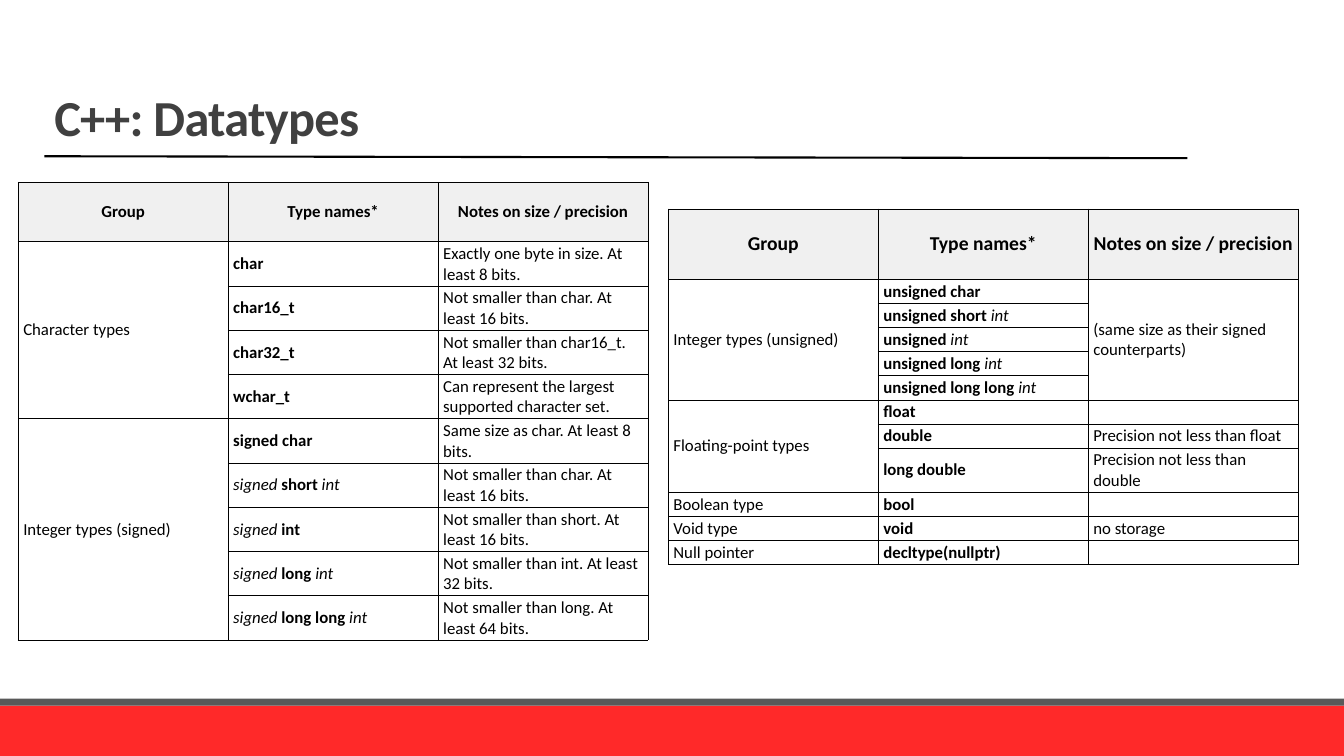
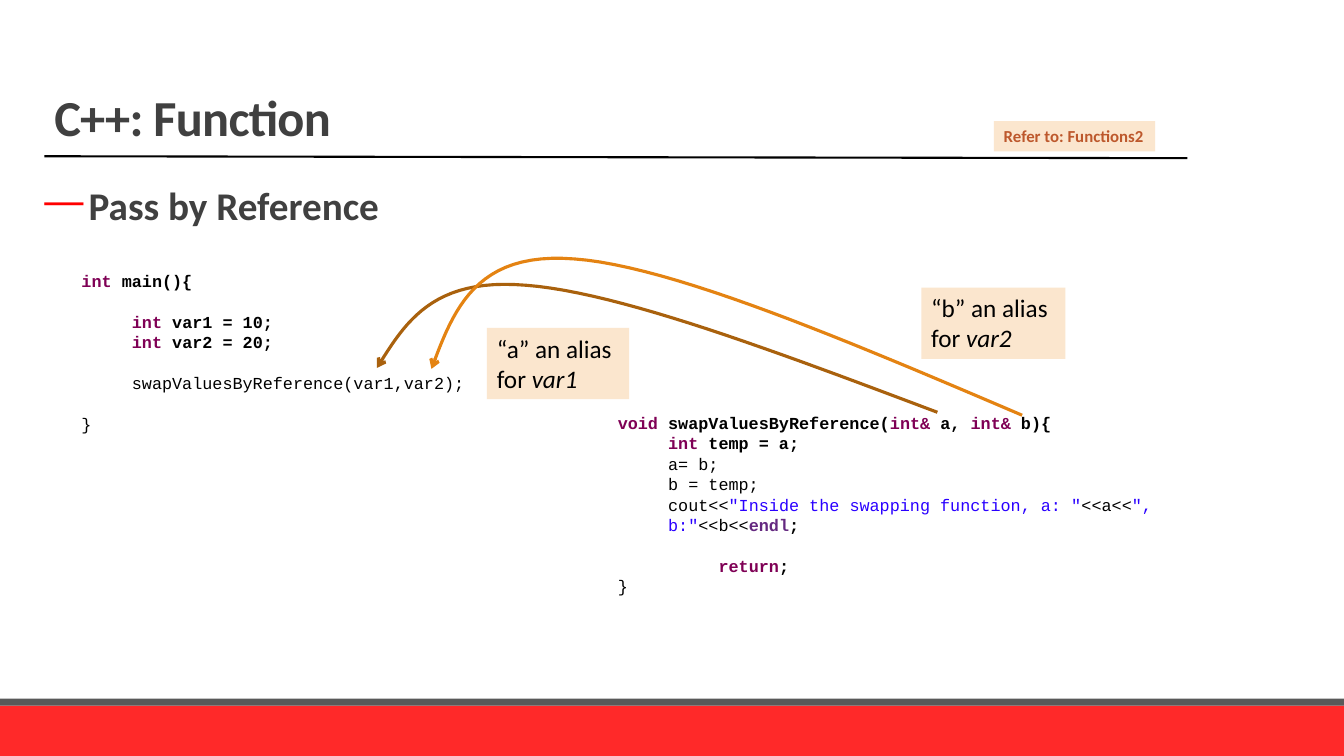
import itertools
from dataclasses import dataclass
from typing import Any, NamedTuple

import lxml.etree
import pptx
import pptx.dml.color
import pptx.enum.shapes
import pptx.enum.text
import pptx.oxml.ns
import pptx.util

Pt = pptx.util.Pt
qn = pptx.oxml.ns.qn
ANCHOR = pptx.enum.text.MSO_ANCHOR
ALIGN = pptx.enum.text.PP_ALIGN

COLORS = {
    "black": "000000", "white": "FFFFFF", "title": "404040", "red": "FF2929",
    "gray": "595959", "header": "F0F0F0", "bullet": "FF0000", "tag": "FBE6CE",
    "rust": "BD582C", "brown": "A9610D", "orange": "E48312",
    "keyword": "7F0055", "string": "2A00FF", "endl": "642880",
}
WIDTH, HEIGHT = 960, 540
CODE_LINE = 14.6

# Text formats
BODY = {"name": "Calibri", "size": Pt(12), "color": "black"}
CODE = {"name": "Courier New", "size": Pt(12), "color": "black"}
TITLE = {"name": "Calibri", "size": Pt(36), "color": "title", "bold": True}
HEADING = TITLE | {"size": Pt(28)}
NOTE = BODY | {"size": Pt(18)}
REFER = BODY | {"color": "rust", "bold": True}
TOKENS = {
    "plain": CODE,
    "bold": CODE | {"bold": True},
    "keyword": CODE | {"color": "keyword", "bold": True},
    "string": CODE | {"color": "string"},
    "endl": CODE | {"color": "endl", "bold": True},
}


class Box(NamedTuple):
    left: float
    top: float
    width: float
    height: float


class Run(NamedTuple):
    text: str
    fmt: dict[str, Any]


@dataclass
class Group:
    """Rows of a type table that share the first cell."""
    name: str
    rows: list[tuple[str, str]]
    shared_note: bool = False


@dataclass
class TypeTable:
    box: Box
    header_size: float
    header_height: float
    row_height: float
    groups: list[Group]


@dataclass
class CodeLine:
    tokens: list[tuple[str, str]]
    level: int = 0
    gap: int = 0  # empty lines above


@dataclass
class Tag:
    box: Box
    lines: list[str]
    fmt: dict[str, Any]


@dataclass
class Arc:
    color: str
    points: list[tuple[float, float]]  # start, then three per cubic curve


TABLES = [
    TypeTable(Box(13, 130.2, 450, 332), 12, 42.5, 25.2, [
        Group("Character types", [
            ("char", "Exactly one byte in size. At least 8 bits."),
            ("char16_t", "Not smaller than char. At least 16 bits."),
            ("char32_t", "Not smaller than char16_t. At least 32 bits."),
            ("wchar_t", "Can represent the largest supported character set."),
        ]),
        Group("Integer types (signed)", [
            ("signed char", "Same size as char. At least 8 bits."),
            ("|signed |short |int|", "Not smaller than char. At least 16 bits."),
            ("|signed |int", "Not smaller than short. At least 16 bits."),
            ("|signed |long |int|", "Not smaller than int. At least 32 bits."),
            ("|signed |long long |int|", "Not smaller than long. At least 64 bits."),
        ]),
    ]),
    TypeTable(Box(477.4, 149.2, 450, 260), 14, 50.4, 14.4, [
        Group("Integer types (unsigned)", [
            ("unsigned char", "(same size as their signed counterparts)"),
            ("unsigned short |int|", ""),
            ("unsigned |int|", ""),
            ("unsigned long |int|", ""),
            ("unsigned long long |int|", ""),
        ], shared_note=True),
        Group("Floating-point types", [
            ("float", ""),
            ("double", "Precision not less than float"),
            ("long double", "Precision not less than double"),
        ]),
        Group("Boolean type", [("bool", "")]),
        Group("Void type", [("void", "no storage")]),
        Group("Null pointer", [("decltype(nullptr)", "")]),
    ]),
]

MAIN_CODE = [
    CodeLine([("int", "keyword"), (" main(){", "bold")]),
    CodeLine([("int", "keyword"), (" var1 = 10;", "bold")], 1, 1),
    CodeLine([("int", "keyword"), (" var2 = 20;", "bold")], 1),
    CodeLine([("swapValuesByReference(var1,var2);", "plain")], 1, 1),
    CodeLine([("}", "plain")], 0, 1),
]
SWAP_CODE = [
    CodeLine([("void ", "keyword"), ("swapValuesByReference(", "bold"),
              ("int&", "keyword"), (" a, ", "bold"),
              ("int&", "keyword"), (" b){", "bold")]),
    CodeLine([("int", "keyword"), (" temp = a;", "bold")], 1),
    CodeLine([("a= b;", "plain")], 1),
    CodeLine([("b = temp;", "plain")], 1),
    CodeLine([("cout<<", "plain"), ('"Inside the swapping function, a: "', "string"),
              ("<<a<<", "plain"), ('", b:"', "string"), ("<<b<<", "plain"),
              ("endl", "endl"), (";", "bold")], 1),
    CodeLine([("return", "keyword"), (";", "bold")], 2, 1),
    CodeLine([("}", "plain")]),
]
TAGS = [
    Tag(Box(709.9, 86.6, 115.2, 21.6), ["Refer to: Functions2"], REFER),
    Tag(Box(347.8, 234.2, 101.5, 51), ["“a” an alias", "for |var1|"], NOTE),
    Tag(Box(658.1, 205.4, 103, 51), ["“b” an alias", "for |var2|"], NOTE),
]
ARCS = [
    Arc("brown", [(669.6, 294.5), (556.6, 252), (442.8, 208.8), (375.8, 203.8),
                  (308.9, 198), (289.4, 230.4), (269.3, 262.8)]),
    Arc("orange", [(730.1, 296.6), (605.5, 243.4), (480.2, 190.1), (410.4, 185),
                   (339.8, 179.3), (324, 221), (308.2, 263.5)]),
]


# Helpers
def rgb(name: str) -> pptx.dml.color.RGBColor:
    return pptx.dml.color.RGBColor.from_string(COLORS[name])


def emu(box: Box) -> list[int]:
    return [Pt(v) for v in box]


def add_xml(parent: Any, tag: str, **attrs: str) -> Any:
    return lxml.etree.SubElement(parent, qn(tag), attrs)


def write(p: Any, runs: list[Run]) -> None:
    for run in runs:
        r = p.add_run()
        r.text = run.text
        for key, value in run.fmt.items():
            if key == "color":
                r.font.color.rgb = rgb(value)
            else:
                setattr(r.font, key, value)


def marked(text: str, fmt: dict[str, Any]) -> list[Run]:
    """Split text into runs; parts between bars are light italic."""
    italic = fmt | {"bold": False, "italic": True}
    return [Run(part, italic if i % 2 else fmt)
            for i, part in enumerate(text.split("|")) if part]


def add_text(s: Any, box: Box, wrap: bool = True) -> Any:
    sp = s.shapes.add_textbox(*emu(box))
    sp.text_frame.word_wrap = wrap
    return sp


def paragraphs(tf: Any, count: int) -> list[Any]:
    return [tf.paragraphs[0]] + [tf.add_paragraph() for _ in range(count - 1)]


# Parts shared by the slides
def add_slide(prs: Any, title: str) -> Any:
    s = prs.slides.add_slide(prs.slide_layouts[6])
    for color, top, height in (("red", 504, 36), ("gray", 499, 5)):
        sp = s.shapes.add_shape(pptx.enum.shapes.MSO_SHAPE.RECTANGLE,
                                *emu(Box(0, top, WIDTH, height)))
        sp.shadow.inherit = False
        sp.fill.solid()
        sp.fill.fore_color.rgb = rgb(color)
        sp.line.fill.background()
    rule = s.shapes.add_connector(pptx.enum.shapes.MSO_CONNECTOR.STRAIGHT,
                                  Pt(31.7), Pt(111.6), Pt(848.2), Pt(113))
    rule.line.color.rgb = rgb("black")
    rule.line.width = Pt(1.5)
    add_xml(rule._element.spPr, "a:effectLst")
    tf = add_text(s, Box(31.7, 0, 816, 108.7)).text_frame
    tf.vertical_anchor = ANCHOR.BOTTOM
    p = tf.paragraphs[0]
    p.line_spacing = 0.85
    write(p, [Run(title, TITLE)])
    p.runs[0].font._element.set("spc", "-50")
    return s


# Type tables
def fill_cell(cell: Any, text: str, fmt: dict[str, Any], header: bool = False) -> None:
    layout = {"margin_left": Pt(3.6), "margin_right": Pt(3.6), "margin_top": Pt(1.4),
              "margin_bottom": Pt(1.4), "vertical_anchor": ANCHOR.MIDDLE}
    for key, value in layout.items():
        setattr(cell, key, value)
    tc_pr = cell._tc.get_or_add_tcPr()
    for side in ("a:lnL", "a:lnR", "a:lnT", "a:lnB"):
        ln = add_xml(tc_pr, side, w=str(Pt(0.6)))
        add_xml(add_xml(ln, "a:solidFill"), "a:srgbClr", val=COLORS["black"])
    cell.fill.solid()
    cell.fill.fore_color.rgb = rgb("header" if header else "white")
    p = cell.text_frame.paragraphs[0]
    if header:
        p.alignment = ALIGN.CENTER
    write(p, marked(text, fmt))
    if not text:
        add_xml(p._p, "a:endParaRPr", sz="1200")


def add_type_table(s: Any, spec_table: TypeTable) -> None:
    count = 1 + sum(len(g.rows) for g in spec_table.groups)
    table = s.shapes.add_table(count, 3, *emu(spec_table.box)).table
    table.first_row = table.horz_banding = False
    for col in table.columns:
        col.width = Pt(spec_table.box.width / 3)
    for i, row in enumerate(table.rows):
        row.height = Pt(spec_table.row_height if i else spec_table.header_height)
    bold = BODY | {"bold": True}
    head = bold | {"size": Pt(spec_table.header_size)}
    for c, text in enumerate(("Group", "Type names*", "Notes on size / precision")):
        fill_cell(table.cell(0, c), text, head, header=True)
    top = 1
    for group in spec_table.groups:
        for i, (type_name, note) in enumerate(group.rows):
            fill_cell(table.cell(top + i, 0), "" if i else group.name, BODY)
            fill_cell(table.cell(top + i, 1), type_name, bold)
            fill_cell(table.cell(top + i, 2), note, BODY)
        last = top + len(group.rows) - 1
        if last > top:
            for c in (0, 2) if group.shared_note else (0,):
                table.cell(top, c).merge(table.cell(last, c))
        top = last + 1


# Parts of the function slide
def add_heading(s: Any, text: str) -> None:
    tf = add_text(s, Box(31.7, 126, 844, 50)).text_frame
    tf.margin_left = tf.margin_right = 0
    p = tf.paragraphs[0]
    p.space_before = p.space_after = Pt(6)
    p_pr = p._p.get_or_add_pPr()
    p_pr.set("marL", str(Pt(31.7)))
    p_pr.set("indent", str(-Pt(31.7)))
    add_xml(add_xml(p_pr, "a:buClr"), "a:srgbClr", val=COLORS["bullet"])
    add_xml(p_pr, "a:buChar", char="—")
    write(p, [Run(text, HEADING)])


def add_code(s: Any, box: Box, lines: list[CodeLine]) -> None:
    tf = add_text(s, box).text_frame
    for p, line in zip(paragraphs(tf, len(lines)), lines):
        p.line_spacing = Pt(CODE_LINE)
        p.space_before = Pt(CODE_LINE * line.gap)
        p._p.get_or_add_pPr().set("marL", str(Pt(36 * line.level)))
        write(p, [Run(text, TOKENS[kind]) for text, kind in line.tokens])


def add_tag(s: Any, tag: Tag) -> None:
    sp = add_text(s, tag.box, wrap=False)
    sp.fill.solid()
    sp.fill.fore_color.rgb = rgb("tag")
    sp.text_frame.auto_size = pptx.enum.text.MSO_AUTO_SIZE.SHAPE_TO_FIT_TEXT
    for p, line in zip(paragraphs(sp.text_frame, len(tag.lines)), tag.lines):
        write(p, marked(line, tag.fmt))


def add_arc(s: Any, arc: Arc, steps: int = 24) -> None:
    dots = []
    for first, step in itertools.product((0, 3), range(1, steps + 1)):
        t = step / steps
        weights = ((1 - t) ** 3, 3 * t * (1 - t) ** 2, 3 * t * t * (1 - t), t ** 3)
        curve = arc.points[first:first + 4]
        dots.append(tuple(Pt(sum(w * pt[axis] for w, pt in zip(weights, curve)))
                          for axis in (0, 1)))
    start_x, start_y = arc.points[0]
    outline = s.shapes.build_freeform(Pt(start_x), Pt(start_y))
    outline.add_line_segments(dots, close=False)
    sp = outline.convert_to_shape()
    sp.shadow.inherit = False
    sp.fill.background()
    sp.line.color.rgb = rgb(arc.color)
    sp.line.width = Pt(2.25)
    add_xml(sp.line._get_or_add_ln(), "a:tailEnd", type="arrow")


def main() -> None:
    prs = pptx.Presentation()
    prs.slide_width, prs.slide_height = Pt(WIDTH), Pt(HEIGHT)

    s = add_slide(prs, "C++: Datatypes")
    for type_table in TABLES:
        add_type_table(s, type_table)

    s = add_slide(prs, "C++: Function")
    add_heading(s, "Pass by Reference")
    add_code(s, Box(51.1, 189.4, 344.9, 123.8), MAIN_CODE)
    add_code(s, Box(434.2, 290.9, 480.2, 138.2), SWAP_CODE)
    for arc in ARCS:
        add_arc(s, arc)
    for tag in TAGS:
        add_tag(s, tag)
    prs.save("out.pptx")


if __name__ == "__main__":
    main()
